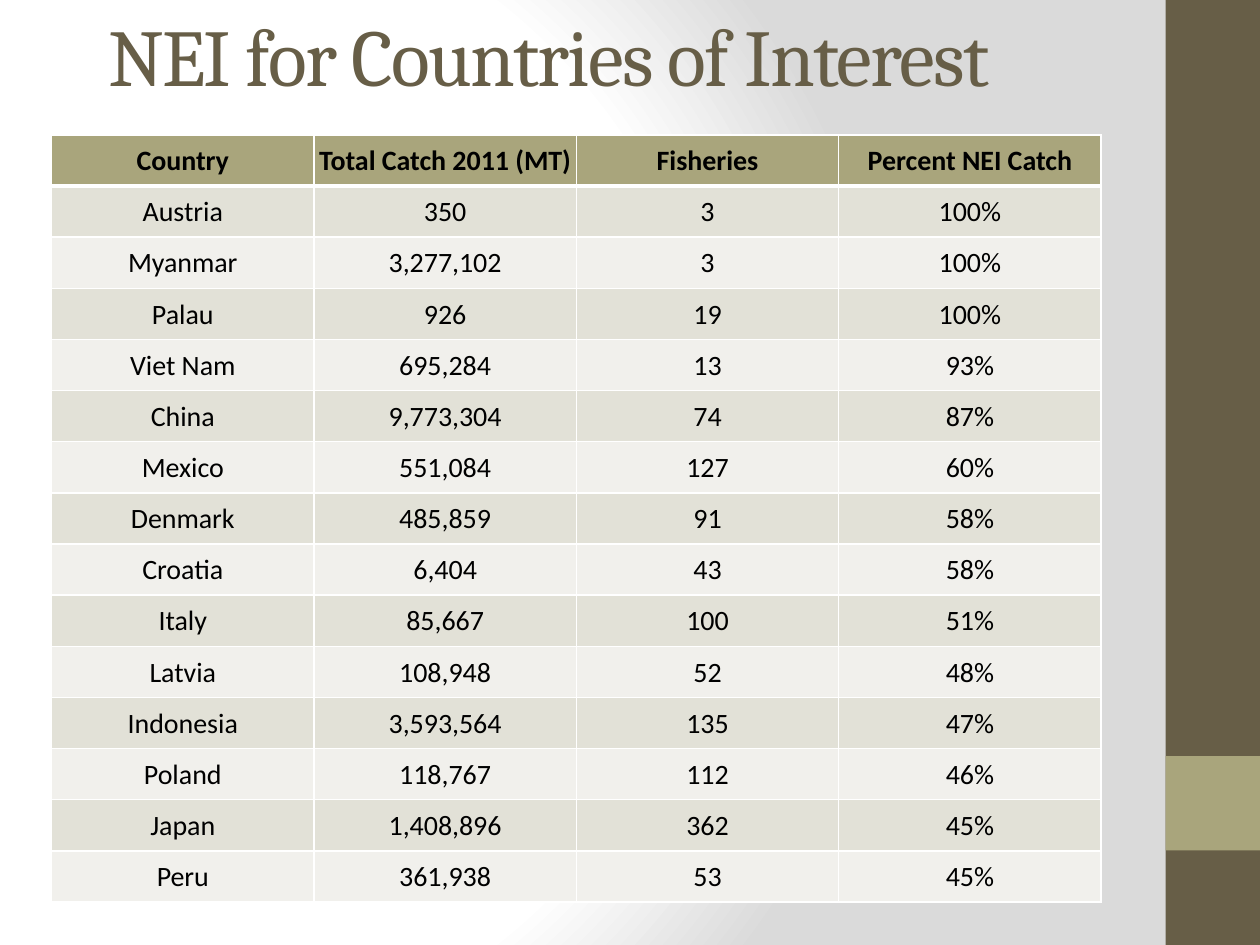
"""Build a slide with a table of NEI catch shares by country."""
import dataclasses

import lxml.etree
import pptx
import pptx.dml.color
import pptx.enum.shapes
import pptx.enum.text
import pptx.oxml
import pptx.oxml.ns
import pptx.util

Inches = pptx.util.Inches
Pt = pptx.util.Pt

COLORS = {
    "brown": "675E47",
    "olive": "A9A57C",
    "odd_row": "E2E1D7",
    "even_row": "F1F0EC",
    "text": "000000",
    "white": "FFFFFF",
    "gray": "DADADA",
}
BACKDROP_STOPS = ((0, "white"), (75, "white"), (100, "gray"))
HEADINGS = ("Country", "Total Catch 2011 (MT)", "Fisheries", "Percent NEI Catch")
TABLE_WIDTH = 8.33
TABLE_HEIGHT = 6.09


@dataclasses.dataclass
class Band:
    top: float
    height: float
    color: str


@dataclasses.dataclass
class Catch:
    country: str
    tonnes: int
    fisheries: int
    nei_percent: int

    def texts(self) -> tuple[str, ...]:
        return self.country, f"{self.tonnes:,}", str(self.fisheries), f"{self.nei_percent}%"


SIDE_BANDS = (Band(0, 7.5, "brown"), Band(6, 0.75, "olive"))
CATCHES = (
    Catch("Austria", 350, 3, 100),
    Catch("Myanmar", 3277102, 3, 100),
    Catch("Palau", 926, 19, 100),
    Catch("Viet Nam", 695284, 13, 93),
    Catch("China", 9773304, 74, 87),
    Catch("Mexico", 551084, 127, 60),
    Catch("Denmark", 485859, 91, 58),
    Catch("Croatia", 6404, 43, 58),
    Catch("Italy", 85667, 100, 51),
    Catch("Latvia", 108948, 52, 48),
    Catch("Indonesia", 3593564, 135, 47),
    Catch("Poland", 118767, 112, 46),
    Catch("Japan", 1408896, 362, 45),
    Catch("Peru", 361938, 53, 45),
)


def rgb(name: str) -> pptx.dml.color.RGBColor:
    return pptx.dml.color.RGBColor.from_string(COLORS[name])


def paint_background(slide) -> None:
    slide.background.fill.solid()
    solid = slide.element.find(".//" + pptx.oxml.ns.qn("p:bgPr"))[0]
    stops = "".join(
        f'<a:gs pos="{percent * 1000}"><a:srgbClr val="{COLORS[name]}"/></a:gs>'
        for percent, name in BACKDROP_STOPS
    )
    gradient = pptx.oxml.parse_xml(
        f'<a:gradFill {pptx.oxml.ns.nsdecls("a")} rotWithShape="1">'
        f'<a:gsLst>{stops}</a:gsLst><a:path path="circle">'
        '<a:fillToRect l="20000" t="50000" r="100000" b="50000"/>'
        "</a:path></a:gradFill>"
    )
    solid.getparent().replace(solid, gradient)


def add_band(slide, band: Band) -> None:
    strip = slide.shapes.add_shape(
        pptx.enum.shapes.MSO_SHAPE.RECTANGLE,
        Inches(9.25), Inches(band.top), Inches(0.75), Inches(band.height),
    )
    strip.shadow.inherit = False
    strip.fill.solid()
    strip.fill.fore_color.rgb = rgb(band.color)
    strip.line.fill.background()


def set_title(slide, text: str) -> None:
    title = slide.shapes.title
    title.left, title.top = Inches(0.76), Inches(0.16)
    title.width, title.height = Inches(8.33), Inches(0.55)
    frame = title.text_frame
    frame.text = text
    frame.auto_size = pptx.enum.text.MSO_AUTO_SIZE.NONE
    frame.vertical_anchor = pptx.enum.text.MSO_ANCHOR.MIDDLE
    paragraph = frame.paragraphs[0]
    paragraph.alignment = pptx.enum.text.PP_ALIGN.LEFT
    paragraph.font.name = "Cambria"
    paragraph.font.size = Pt(46)
    paragraph.font.color.rgb = rgb("brown")
    paragraph.runs[0].font._element.set("spc", "-100")


def set_borders(cell, top: float, bottom: float) -> None:
    properties = cell._tc.get_or_add_tcPr()
    widths = {"lnL": 1, "lnR": 1, "lnT": top, "lnB": bottom}
    for position, (side, width) in enumerate(widths.items()):
        line = lxml.etree.Element(pptx.oxml.ns.qn(f"a:{side}"), w=str(Pt(width)))
        fill = lxml.etree.SubElement(line, pptx.oxml.ns.qn("a:solidFill"))
        lxml.etree.SubElement(fill, pptx.oxml.ns.qn("a:srgbClr"), val=COLORS["white"])
        properties.insert(position, line)


def fill_cell(cell, text: str, row: int) -> None:
    cell.text = text
    cell.vertical_anchor = pptx.enum.text.MSO_ANCHOR.MIDDLE
    cell.margin_left = cell.margin_right = cell.margin_top = Inches(0.01)
    cell.margin_bottom = 0
    cell.fill.solid()
    band = "odd_row" if row % 2 else "even_row"
    cell.fill.fore_color.rgb = rgb(band if row else "olive")
    paragraph = cell.text_frame.paragraphs[0]
    paragraph.alignment = pptx.enum.text.PP_ALIGN.CENTER
    paragraph.font.name = "Calibri"
    paragraph.font.size = Pt(16)
    paragraph.font.bold = row == 0
    paragraph.font.color.rgb = rgb("text")
    set_borders(cell, top=3 if row == 1 else 1, bottom=1 if row else 3)


def add_catch_table(slide) -> None:
    rows = [HEADINGS] + [catch.texts() for catch in CATCHES]
    table = slide.shapes.add_table(
        len(rows), len(HEADINGS),
        Inches(0.41), Inches(1.07), Inches(TABLE_WIDTH), Inches(TABLE_HEIGHT),
    ).table
    for row, texts in enumerate(rows):
        for column, text in enumerate(texts):
            fill_cell(table.cell(row, column), text, row)


def main() -> None:
    presentation = pptx.Presentation()
    presentation.slide_width = Inches(10)
    presentation.slide_height = Inches(7.5)
    slide = presentation.slides.add_slide(presentation.slide_layouts[5])
    paint_background(slide)
    for band in SIDE_BANDS:
        add_band(slide, band)
    set_title(slide, "NEI for Countries of Interest")
    add_catch_table(slide)
    presentation.save("out.pptx")


if __name__ == "__main__":
    main()
